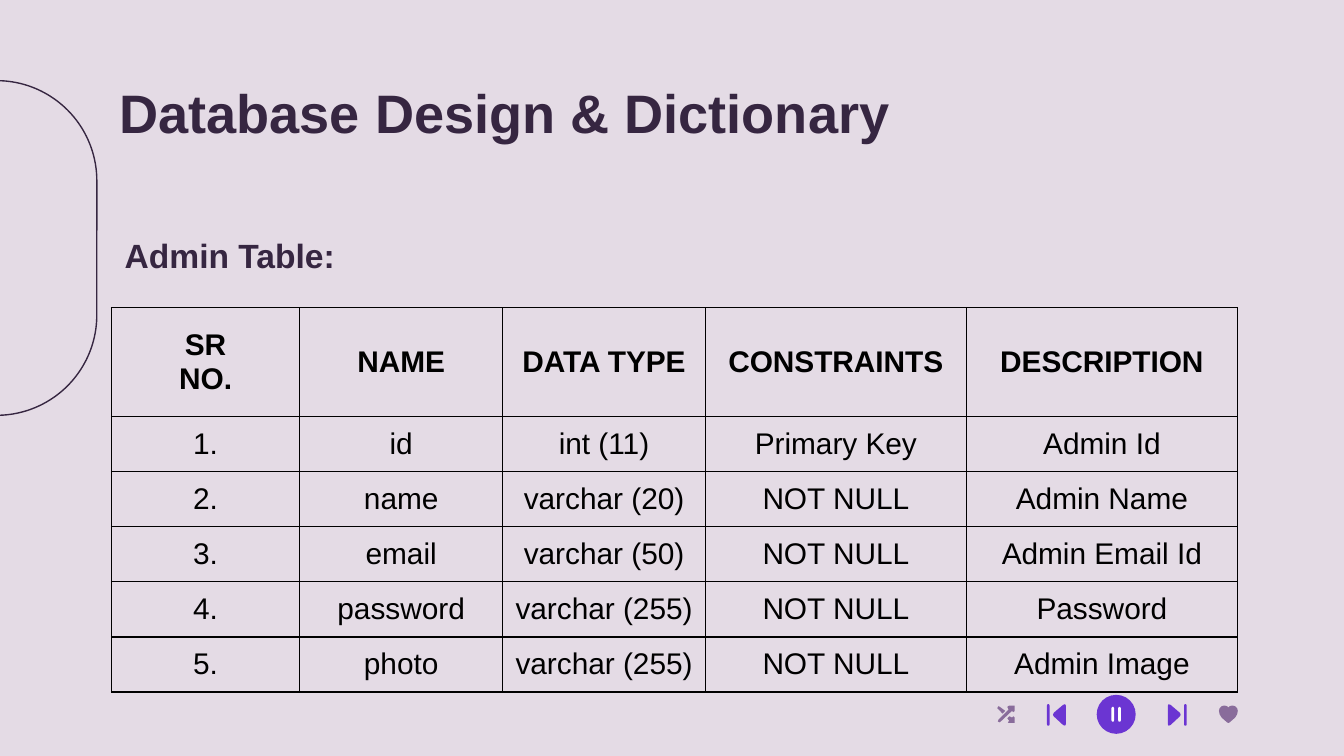
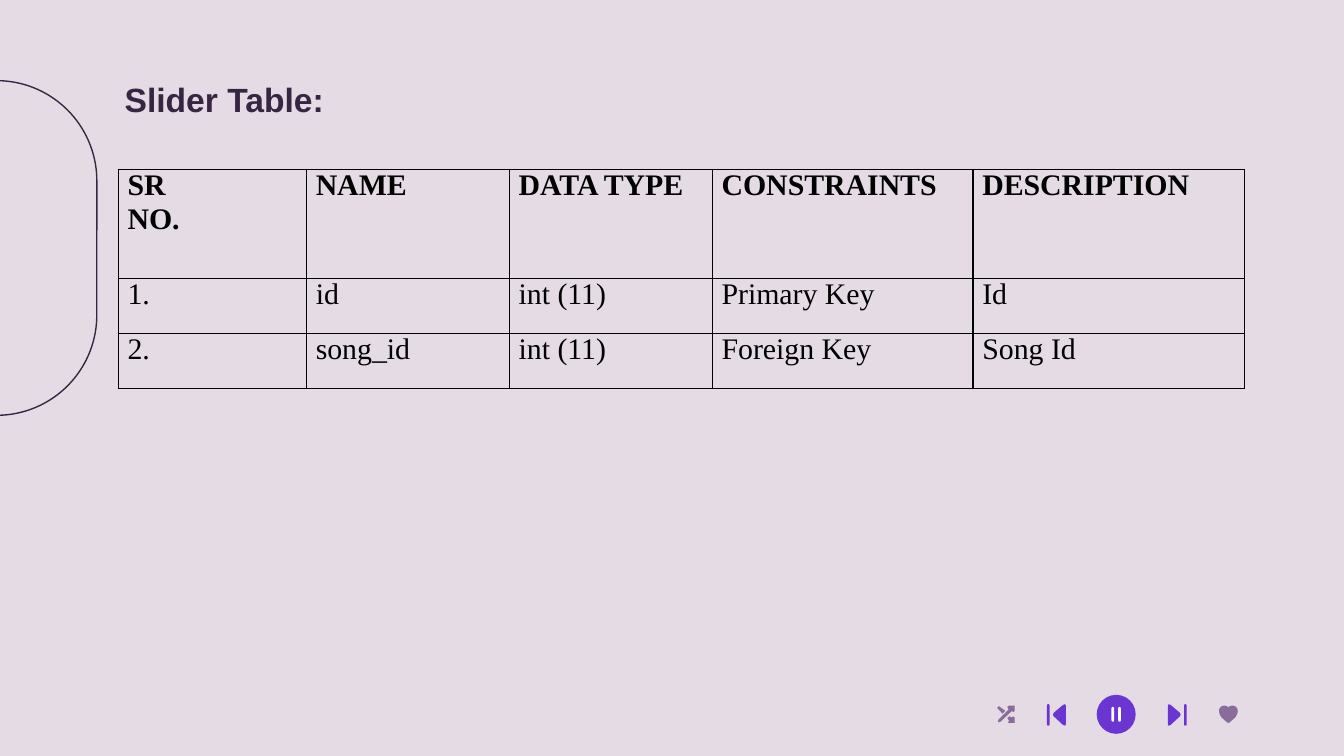
from lxml import etree
from pptx import Presentation
from pptx.dml.color import RGBColor
from pptx.enum.shapes import MSO_SHAPE as SHAPE
from pptx.enum.text import MSO_ANCHOR as ANCHOR, PP_ALIGN as ALIGN
from pptx.oxml.ns import qn
from pptx.util import Inches, Pt

PAPER, INK, BLACK, WHITE = "E4DBE5", "362641", "000000", "FFFFFF"
VIOLET, MAUVE = "6B35D2", "896C9B"

COLUMN_WIDTHS = [1.4, 1.51, 1.51, 1.94, 2.02]
HEADER_HEIGHT, ROW_HEIGHT = 0.81, 0.41
HEADERS = ["SR\nNO.", "NAME", "DATA TYPE", "CONSTRAINTS", "DESCRIPTION"]

ADMIN_FIELDS = [
    ["id", "int (11)", "Primary Key", "Admin Id"],
    ["name", "varchar (20)", "NOT NULL", "Admin Name"],
    ["email", "varchar (50)", "NOT NULL", "Admin Email Id"],
    ["password", "varchar (255)", "NOT NULL", "Password"],
    ["photo", "varchar (255)", "NOT NULL", "Admin Image"],
]
SLIDER_FIELDS = [
    ["id", "int (11)", "Primary Key", "Id"],
    ["song_id", "int (11)", "Foreign Key", "Song Id"],
]


def bar(x, height):
    """Outline of an upright bar with cut corners, 2 units wide."""
    return [(x, 1), (x + 0.5, 0), (x + 1.5, 0), (x + 2, 1),
            (x + 2, height - 1), (x + 1.5, height), (x + 0.5, height), (x, height - 1)]


# Icon outlines, in hundredths of an inch from the icon's top left corner
NEXT = [
    [(0, 1), (0.5, 0), (2, 0.5), (9, 6.5), (9.5, 8), (9, 9), (2, 15.5), (0.5, 16), (0, 15)],
    bar(12, 16),
]
PREVIOUS = [[(14 - x, y) for x, y in outline] for outline in NEXT]
PAUSE = [bar(0, 11), bar(5, 11)]
HEART = [[(0, 4), (0.5, 2), (2, 0.5), (4, 0), (6, 0.5), (7, 1.5), (8, 0.5), (10, 0), (12, 0.5),
          (13.5, 2), (14, 4), (13.5, 6.5), (12, 9), (8, 12.5), (7, 13), (6, 12.5),
          (2, 9), (0.5, 6.5)]]
SHUFFLE = [
    [(0, 2), (1, 0.5), (2, 1), (6, 4), (4, 6)],
    [(12, 8), (11, 9), (9, 8), (7.5, 9.5), (9, 11.5), (8, 12.5), (8.5, 13), (13, 13), (13, 9)],
    [(10, 5), (2, 12.5), (0.5, 12), (1, 10.5), (8.5, 3), (7.5, 1), (9, 0), (13, 0), (13, 4),
     (12, 5), (11, 4)],
]


def rgb(value):
    return RGBColor.from_string(value)


def set_font(p, name, size, color, bold):
    for key, value in dict(name=name, size=Pt(size), bold=bold).items():
        setattr(p.font, key, value)
    p.font.color.rgb = rgb(color)


def paint(sp, color):
    sp.shadow.inherit = False
    sp.fill.solid()
    sp.fill.fore_color.rgb = rgb(color)
    sp.line.fill.background()


def add_icon(s, left, top, outlines, color):
    points = [[(Inches(left + x / 100), Inches(top + y / 100)) for x, y in outline]
              for outline in outlines]
    builder = s.shapes.build_freeform(*points[0][0])
    for i, outline in enumerate(points):
        if i:
            builder.move_to(*outline[0])
        builder.add_line_segments(outline[1:], close=True)
    paint(builder.convert_to_shape(), color)


def add_player(s):
    """Row of music player controls at the lower right."""
    disc = s.shapes.add_shape(SHAPE.OVAL, Inches(8.16), Inches(5.17), Inches(0.29), Inches(0.29))
    paint(disc, VIOLET)
    for left, top, outlines, color in [
        (9.07, 5.25, HEART, MAUVE),
        (8.69, 5.24, NEXT, VIOLET),
        (7.79, 5.24, PREVIOUS, VIOLET),
        (7.42, 5.25, SHUFFLE, MAUVE),
        (8.27, 5.26, PAUSE, WHITE),
    ]:
        add_icon(s, left, top, outlines, color)


def add_slide(prs):
    """Blank slide with the shared background, side outline and player."""
    s = prs.slides.add_slide(prs.slide_layouts[6])
    s.background.fill.solid()
    s.background.fill.fore_color.rgb = rgb(PAPER)
    sp = s.shapes.add_shape(SHAPE.ROUNDED_RECTANGLE, Inches(-1.27), Inches(1.1),
                            Inches(2.49), Inches(1.49))
    sp.adjustments[0] = 0.5
    sp.rotation = 90
    sp.shadow.inherit = False
    sp.fill.background()
    sp.line.color.rgb = rgb(INK)
    sp.line.width = Pt(0.75)
    add_player(s)
    return s


def add_heading(s, text, left, top, size):
    box = s.shapes.add_textbox(Inches(left), Inches(top), Inches(8.43), Inches(0.63))
    tf = box.text_frame
    tf.word_wrap = True
    for side in ("left", "top", "right", "bottom"):
        setattr(tf, f"margin_{side}", Inches(0.1))
    tf.text = text
    set_font(tf.paragraphs[0], "Arial", size, INK, True)


def set_borders(cell):
    tc_pr = cell._tc.get_or_add_tcPr()
    for side in "LRTB":
        ln = etree.SubElement(tc_pr, qn(f"a:ln{side}"), w=str(Pt(0.75)))
        fill = etree.SubElement(ln, qn("a:solidFill"))
        etree.SubElement(fill, qn("a:srgbClr"), val=BLACK)


def fill_cell(cell, text, font, align, anchor, bold):
    set_borders(cell)
    cell.fill.background()
    margins = dict(margin_left=0.07, margin_right=0.07, margin_top=0, margin_bottom=0)
    for key, value in margins.items():
        setattr(cell, key, Inches(value))
    cell.vertical_anchor = anchor
    cell.text_frame.text = text
    for p in cell.text_frame.paragraphs:
        p.alignment = align
        set_font(p, font, 16, BLACK, bold)


def add_dictionary(s, left, top, fields, font, align, anchor):
    """Data dictionary table with numbered field rows."""
    rows = [HEADERS] + [[f"{n}.", *field] for n, field in enumerate(fields, 1)]
    heights = [HEADER_HEIGHT] + [ROW_HEIGHT] * len(fields)
    table = s.shapes.add_table(len(rows), len(HEADERS), Inches(left), Inches(top),
                               Inches(sum(COLUMN_WIDTHS)), Inches(sum(heights))).table
    table.first_row = table.horz_banding = False
    for column, width in zip(table.columns, COLUMN_WIDTHS):
        column.width = Inches(width)
    for i, (row, height) in enumerate(zip(rows, heights)):
        table.rows[i].height = Inches(height)
        for j, text in enumerate(row):
            fill_cell(table.cell(i, j), text, font, align, anchor, bold=i == 0)


def main():
    prs = Presentation()
    prs.slide_width = Inches(10)
    prs.slide_height = prs.slide_width * 9 // 16

    s = add_slide(prs)
    add_heading(s, "Database Design & Dictionary", 0.79, 0.49, 29)
    add_dictionary(s, 0.83, 2.29, ADMIN_FIELDS, "Arial", ALIGN.CENTER, ANCHOR.MIDDLE)
    add_heading(s, "Admin Table:", 0.83, 1.65, 18)

    s = add_slide(prs)
    add_dictionary(s, 0.88, 1.26, SLIDER_FIELDS, "Times New Roman", ALIGN.LEFT, ANCHOR.TOP)
    add_heading(s, "Slider Table:", 0.83, 0.49, 18)

    prs.save("out.pptx")


if __name__ == "__main__":
    main()
